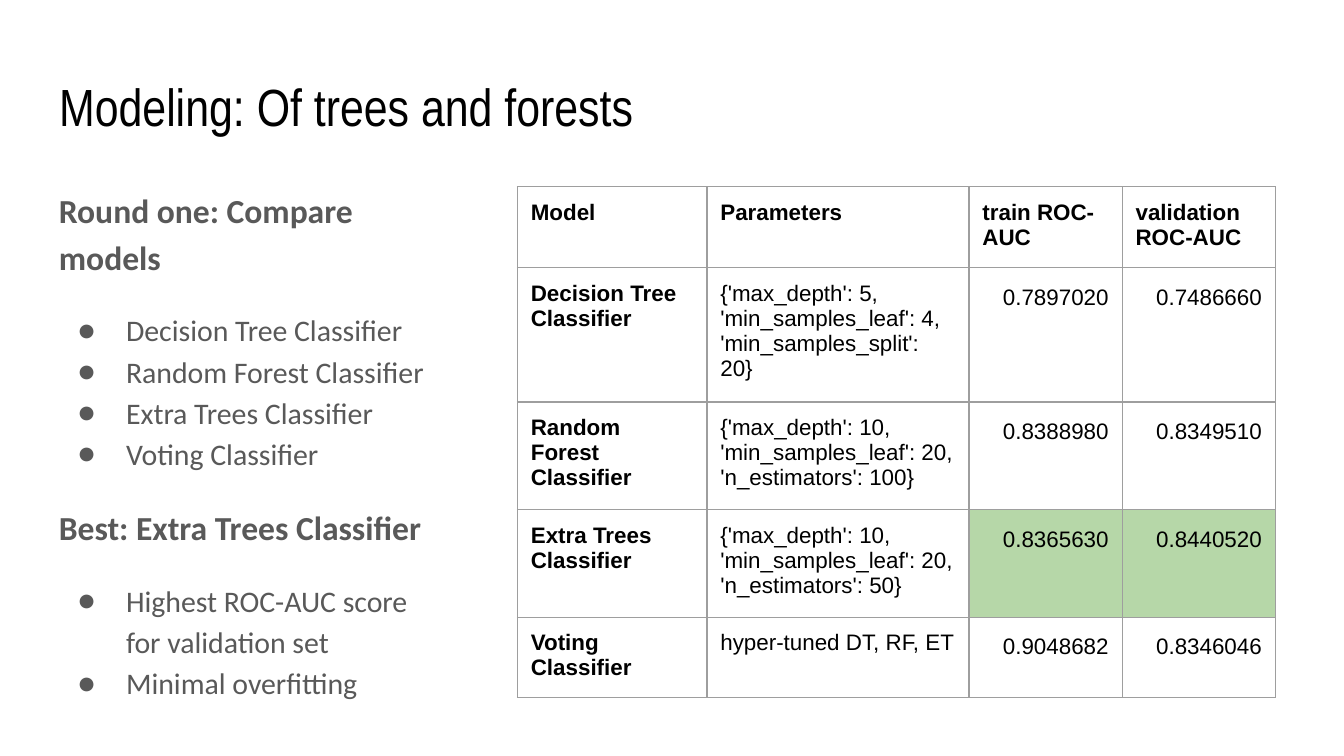
from dataclasses import dataclass
from typing import Optional

from lxml import etree
from pptx import Presentation
from pptx.dml.color import RGBColor
from pptx.enum.text import MSO_ANCHOR, MSO_AUTO_SIZE, PP_ALIGN
from pptx.oxml.ns import qn
from pptx.util import Inches, Pt

LEFT, RIGHT = PP_ALIGN.LEFT, PP_ALIGN.RIGHT
TOP, BOTTOM = MSO_ANCHOR.TOP, MSO_ANCHOR.BOTTOM
NO_AUTOFIT = MSO_AUTO_SIZE.NONE
TITLE_ONLY_LAYOUT = 5
SLIDE_WIDTH = 10
SLIDE_HEIGHT = SLIDE_WIDTH * 9 / 16


@dataclass(frozen=True)
class Theme:
    title_font: str = "Arial Narrow"
    body_font: str = "Calibri"
    table_font: str = "Arial"
    title_size: int = 28
    heading_size: int = 18
    bullet_size: int = 16
    table_size: int = 12
    black: str = "000000"
    grey: str = "595959"
    border: str = "9E9E9E"
    best: str = "B6D7A8"
    border_width: float = 0.75
    line_spacing: float = 1.15
    section_gap: int = 16
    inset: float = 0.1


@dataclass(frozen=True)
class Section:
    heading: str
    bullets: tuple[str, ...]


@dataclass(frozen=True)
class ModelResult:
    model: tuple[str, ...]
    parameters: str
    train_score: str
    validation_score: str
    row_height: float
    is_best: bool = False


THEME = Theme()
SECTIONS = (
    Section("Round one: Compare models", (
        "Decision Tree Classifier", "Random Forest Classifier",
        "Extra Trees Classifier", "Voting Classifier")),
    Section("Best: Extra Trees Classifier", (
        "Highest ROC-AUC score for validation set", "Minimal overfitting")),
)
HEADERS = ("Model", "Parameters", "train ROC-AUC", "validation ROC-AUC")
COLUMN_WIDTHS = (1.41, 1.95, 1.14, 1.14)
HEADER_HEIGHT = 0.57
RESULTS = (
    ModelResult(("Decision Tree", "Classifier"),
                "{'max_depth': 5, 'min_samples_leaf': 4, 'min_samples_split': 20}",
                "0.7897020", "0.7486660", 0.95),
    ModelResult(("Random Forest Classifier",),
                "{'max_depth': 10, 'min_samples_leaf': 20, 'n_estimators': 100}",
                "0.8388980", "0.8349510", 0.76),
    ModelResult(("Extra Trees Classifier",),
                "{'max_depth': 10, 'min_samples_leaf': 20, 'n_estimators': 50}",
                "0.8365630", "0.8440520", 0.76, is_best=True),
    ModelResult(("Voting Classifier",), "hyper-tuned DT, RF, ET",
                "0.9048682", "0.8346046", 0.57),
)


def add_run(paragraph, text: str, font: str, size: int, color: str, bold: bool = False) -> None:
    run = paragraph.add_run()
    run.text = text
    run.font.name = font
    run.font.size = Pt(size)
    run.font.bold = bold
    run.font.color.rgb = RGBColor.from_string(color)


def set_insets(target) -> None:
    """Give a text frame or a table cell equal margins on all sides."""
    target.margin_left = target.margin_right = Inches(THEME.inset)
    target.margin_top = target.margin_bottom = Inches(THEME.inset)


def next_paragraph(text_frame, is_first: bool):
    return text_frame.paragraphs[0] if is_first else text_frame.add_paragraph()


def set_bullet(paragraph) -> None:
    properties = paragraph._p.get_or_add_pPr()
    properties.set("marL", str(Inches(0.5)))
    properties.set("indent", str(Inches(-0.36)))
    color = etree.SubElement(properties, qn("a:buClr"))
    etree.SubElement(color, qn("a:srgbClr"), val=THEME.grey)
    etree.SubElement(properties, qn("a:buSzPts"), val=str(THEME.bullet_size * 100))
    etree.SubElement(properties, qn("a:buFont"), typeface=THEME.body_font)
    etree.SubElement(properties, qn("a:buChar"), char="●")


def set_borders(cell) -> None:
    properties = cell._tc.get_or_add_tcPr()
    for index, side in enumerate(("a:lnL", "a:lnR", "a:lnT", "a:lnB")):
        line = etree.Element(qn(side), w=str(Pt(THEME.border_width)))
        fill = etree.SubElement(line, qn("a:solidFill"))
        etree.SubElement(fill, qn("a:srgbClr"), val=THEME.border)
        properties.insert(index, line)


def add_title(slide, text: str) -> None:
    title = slide.shapes.title
    title.left, title.top = Inches(0.34), Inches(0.49)
    title.width, title.height = Inches(9.32), Inches(0.63)
    text_frame = title.text_frame
    text_frame.auto_size = NO_AUTOFIT
    text_frame.vertical_anchor = BOTTOM
    set_insets(text_frame)
    paragraph = text_frame.paragraphs[0]
    paragraph.alignment = LEFT
    add_run(paragraph, text, THEME.title_font, THEME.title_size, THEME.black)


def add_sections(slide, sections: tuple[Section, ...]) -> None:
    box = slide.shapes.add_textbox(Inches(0.34), Inches(1.27), Inches(3.07), Inches(3.48))
    text_frame = box.text_frame
    text_frame.word_wrap = True
    set_insets(text_frame)
    for section_index, section in enumerate(sections):
        heading = next_paragraph(text_frame, section_index == 0)
        heading.line_spacing = THEME.line_spacing
        heading.space_before = Pt(THEME.section_gap if section_index else 0)
        add_run(heading, section.heading, THEME.body_font, THEME.heading_size, THEME.grey, bold=True)
        for bullet_index, text in enumerate(section.bullets):
            bullet = text_frame.add_paragraph()
            bullet.line_spacing = THEME.line_spacing
            bullet.space_before = Pt(0 if bullet_index else THEME.section_gap)
            set_bullet(bullet)
            add_run(bullet, text, THEME.body_font, THEME.bullet_size, THEME.grey)


def fill_cell(cell, lines: tuple[str, ...], bold: bool = False,
              is_score: bool = False, fill: Optional[str] = None) -> None:
    set_insets(cell)
    cell.vertical_anchor = TOP
    if fill:
        cell.fill.solid()
        cell.fill.fore_color.rgb = RGBColor.from_string(fill)
    else:
        cell.fill.background()
    set_borders(cell)
    for index, text in enumerate(lines):
        paragraph = next_paragraph(cell.text_frame, index == 0)
        if is_score:
            paragraph.alignment = RIGHT
            paragraph.line_spacing = THEME.line_spacing
        add_run(paragraph, text, THEME.table_font, THEME.table_size, THEME.black, bold)


def add_results_table(slide, results: tuple[ModelResult, ...]) -> None:
    heights = (HEADER_HEIGHT, *(result.row_height for result in results))
    table = slide.shapes.add_table(
        len(heights), len(COLUMN_WIDTHS), Inches(3.85), Inches(1.39),
        Inches(sum(COLUMN_WIDTHS)), Inches(sum(heights))).table
    table.first_row = table.horz_banding = False
    for column, width in zip(table.columns, COLUMN_WIDTHS):
        column.width = Inches(width)
    for row, height in zip(table.rows, heights):
        row.height = Inches(height)
    for column_index, header in enumerate(HEADERS):
        fill_cell(table.cell(0, column_index), (header,), bold=True)
    for row_index, result in enumerate(results, start=1):
        fill_cell(table.cell(row_index, 0), result.model, bold=True)
        fill_cell(table.cell(row_index, 1), (result.parameters,))
        score_fill = THEME.best if result.is_best else None
        scores = (result.train_score, result.validation_score)
        for column_index, score in enumerate(scores, start=2):
            fill_cell(table.cell(row_index, column_index), (score,), is_score=True, fill=score_fill)


def main() -> None:
    presentation = Presentation()
    presentation.slide_width = Inches(SLIDE_WIDTH)
    presentation.slide_height = Inches(SLIDE_HEIGHT)
    slide = presentation.slides.add_slide(presentation.slide_layouts[TITLE_ONLY_LAYOUT])
    add_sections(slide, SECTIONS)
    add_results_table(slide, RESULTS)
    add_title(slide, "Modeling: Of trees and forests")
    presentation.save("out.pptx")


if __name__ == "__main__":
    main()
